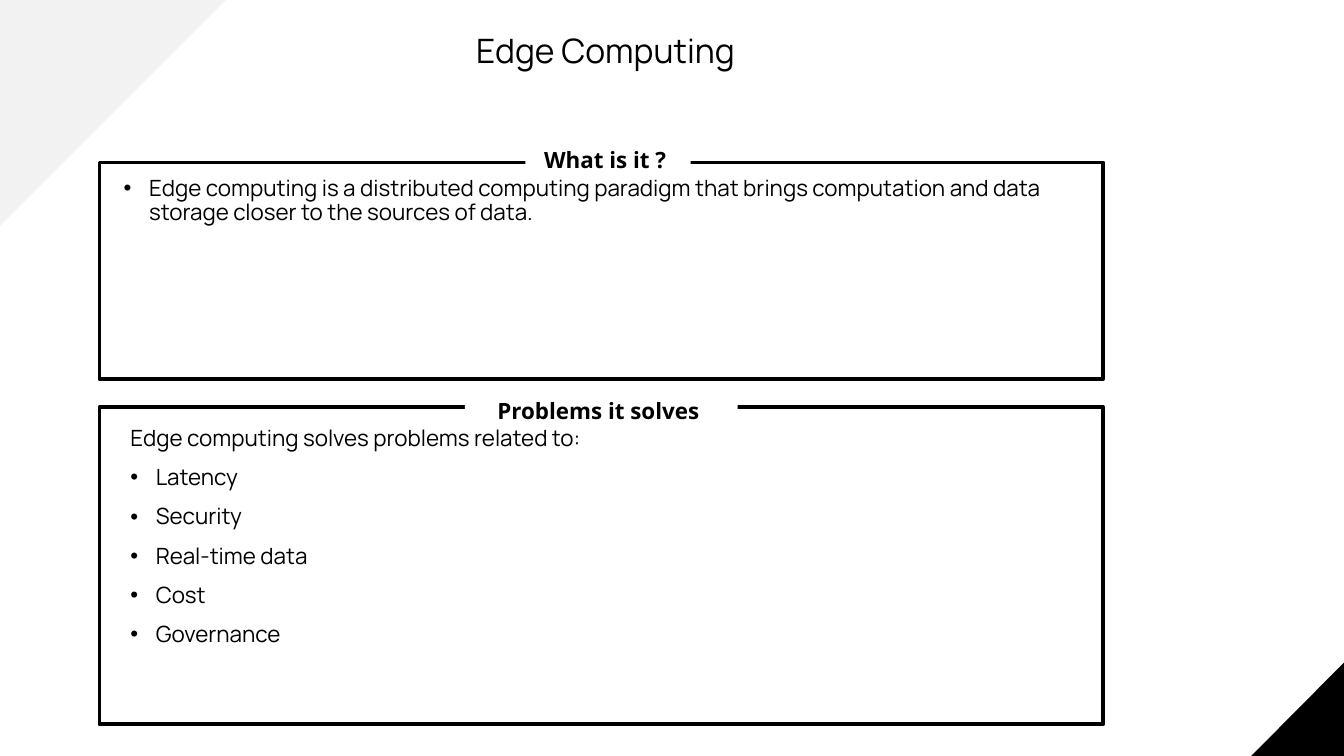
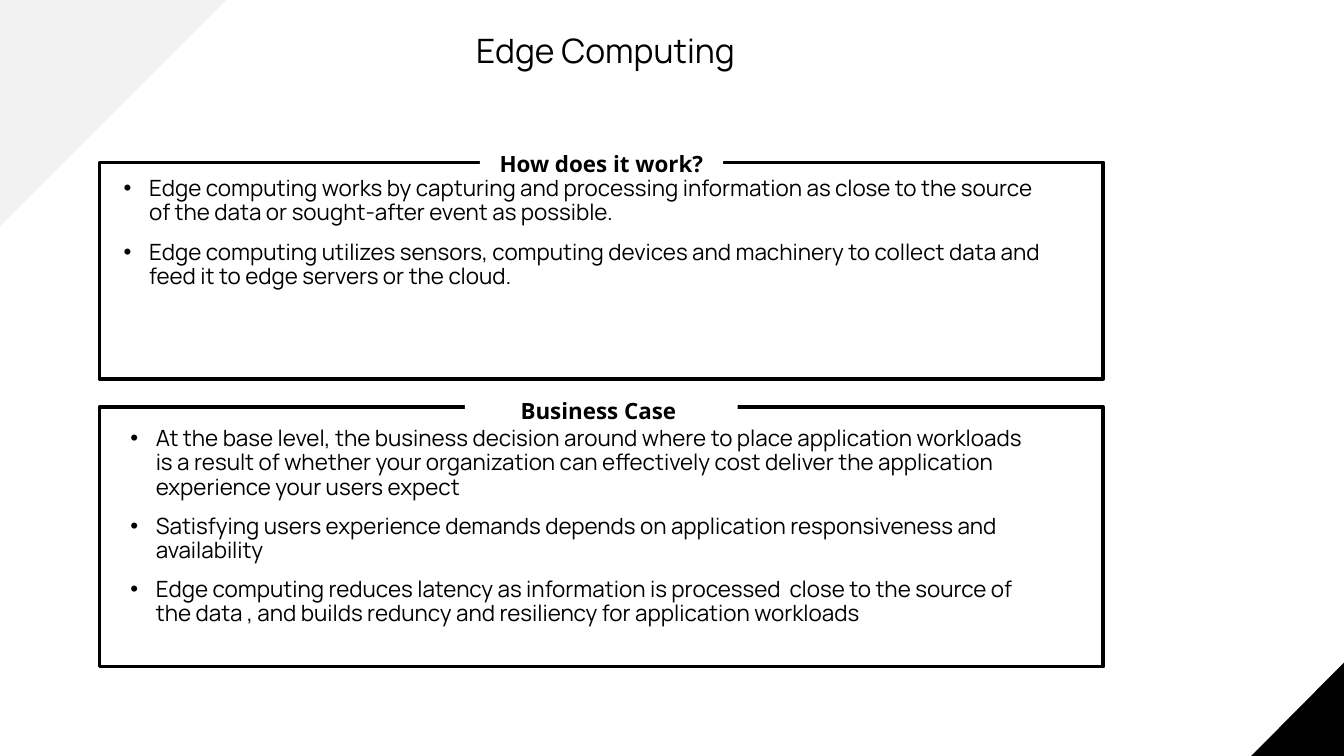
from dataclasses import dataclass

from lxml import etree
from pptx import Presentation
from pptx import util as u
from pptx.dml.color import RGBColor
from pptx.enum import shapes, text
from pptx.oxml.ns import qn

BLACK = RGBColor(0x00, 0x00, 0x00)
WHITE = RGBColor(0xFF, 0xFF, 0xFF)
PALE_GREY = RGBColor(0xF2, 0xF2, 0xF2)
BODY_FONT = "Manrope"
LABEL_FONT = "Open Sans"

SLIDE_WIDTH, SLIDE_HEIGHT = u.Inches(10), u.Inches(5.625)
COLUMNS, ROWS = 100, 56.25  # square grid cells

PANEL_LEFT, PANEL_WIDTH = 7.4, 74.7
SIDE_INSET, TEXT_INSET = u.Inches(0.07), u.Inches(0.04)
TEXT_INDENT, BULLET_HANG = u.Inches(0.38), u.Inches(0.19)


@dataclass(frozen=True)
class Area:
    """A rectangle in grid columns and rows."""
    left: float
    top: float
    width: float
    height: float

    def lengths(self) -> tuple[int, int, int, int]:
        return (across(self.left), down(self.top),
                across(self.width), down(self.height))


@dataclass(frozen=True)
class Panel:
    top: float
    height: float
    label: str
    label_area: Area
    body_area: Area
    bullets: tuple[str, ...]
    lead: str = ""


TITLE = "Edge Computing "
TITLE_AREA = Area(30.3, 2.3, 30, 2.3)
CORNER_TRIANGLE_AREA = Area(94.7, 51.1, 4.7, 4.2)
UPPER_TOP, UPPER_HEIGHT = 12.1, 16.1
LOWER_TOP = 30.3
LOWER_LABEL_AREA = Area(34.6, 29.8, 20.3, 1.5)
LOWER_BODY_AREA = Area(7.1, 31.4, 70.6, 10.3)

SLIDES = (
    (
        Panel(UPPER_TOP, UPPER_HEIGHT, "What is it ? ",
              Area(39.1, 11.1, 12.3, 1.5), Area(6.6, 12.8, 77.3, 12),
              ("Edge computing is a distributed computing paradigm that brings "
               "computation and data storage closer to the sources of data.",)),
        Panel(LOWER_TOP, 23.6, "Problems it solves ",
              LOWER_LABEL_AREA, LOWER_BODY_AREA,
              ("Latency", "Security", "Real-time data", "Cost", "Governance"),
              lead="Edge computing solves problems related to:"),
    ),
    (
        Panel(UPPER_TOP, UPPER_HEIGHT, "How does it work?",
              Area(35.7, 11.2, 18.1, 2), Area(6.6, 12.8, 72.6, 12),
              ("Edge computing works by capturing and processing information as "
               "close to the source of the data or sought-after event as possible.",
               "Edge computing utilizes sensors, computing devices and machinery "
               "to collect data and feed it to edge servers or the cloud.")),
        Panel(LOWER_TOP, 19.3, "Business Case ",
              LOWER_LABEL_AREA, LOWER_BODY_AREA,
              ("At the base level, the business decision around where to place "
               "application workloads is a result of whether your organization can "
               "effectively cost deliver the application experience your users expect",
               "Satisfying users experience demands depends on application "
               "responsiveness and availability",
               "Edge computing reduces latency as information is processed  close "
               "to the source of the data , and builds reduncy and resiliency for "
               "application workloads")),
    ),
)


def across(columns: float) -> int:
    return round(SLIDE_WIDTH * columns / COLUMNS)


def down(rows: float) -> int:
    return round(SLIDE_HEIGHT * rows / ROWS)


def add_corner(slide, color: RGBColor, points: tuple[tuple[float, float], ...]) -> None:
    start, *others = [(across(column), down(row)) for column, row in points]
    builder = slide.shapes.build_freeform(*start)
    builder.add_line_segments(others, close=True)
    shape = builder.convert_to_shape()
    shape.shadow.inherit = False
    shape.fill.solid()
    shape.fill.fore_color.rgb = color
    shape.line.fill.background()


def add_block(slide, kind, area: Area, fill: RGBColor, outlined: bool = True):
    shape = slide.shapes.add_shape(kind, *area.lengths())
    shape.shadow.inherit = False
    shape.fill.solid()
    shape.fill.fore_color.rgb = fill
    if outlined:
        shape.line.color.rgb = BLACK
        shape.line.width = u.Pt(2)
    else:
        shape.line.fill.background()
    return shape


def set_frame(frame, inset: int, anchor) -> None:
    frame.word_wrap = True
    frame.margin_left = frame.margin_right = SIDE_INSET
    frame.margin_top = frame.margin_bottom = inset
    frame.vertical_anchor = anchor


def add_run(paragraph, words: str, size: float, font: str, bold: bool = False) -> None:
    run = paragraph.add_run()
    run.text = words
    run.font.size = u.Pt(size)
    run.font.name = font
    run.font.bold = bold
    run.font.color.rgb = BLACK


def set_indent(paragraph, bulleted: bool) -> None:
    properties = paragraph._p.get_or_add_pPr()
    properties.set("marL", str(TEXT_INDENT if bulleted else BULLET_HANG))
    properties.set("indent", str(-BULLET_HANG if bulleted else 0))
    if bulleted:
        color = etree.SubElement(properties, qn("a:buClr"))
        etree.SubElement(color, qn("a:srgbClr"), val=str(BLACK))
        etree.SubElement(properties, qn("a:buFont"), typeface="Arial")
        etree.SubElement(properties, qn("a:buChar"), char="•")


def add_title(slide) -> None:
    frame = slide.shapes.add_textbox(*TITLE_AREA.lengths()).text_frame
    set_frame(frame, TEXT_INSET, text.MSO_ANCHOR.MIDDLE)
    paragraph = frame.paragraphs[0]
    paragraph.alignment = text.PP_ALIGN.CENTER
    paragraph.line_spacing = 1.2
    paragraph.space_before = u.Pt(8)
    add_run(paragraph, TITLE, 18, BODY_FONT)


def add_body(slide, panel: Panel) -> None:
    frame = slide.shapes.add_textbox(*panel.body_area.lengths()).text_frame
    set_frame(frame, TEXT_INSET, text.MSO_ANCHOR.TOP)
    lines = [(panel.lead, False)] if panel.lead else []
    lines += [(bullet, True) for bullet in panel.bullets]
    for index, (words, bulleted) in enumerate(lines):
        paragraph = frame.add_paragraph() if index else frame.paragraphs[0]
        paragraph.line_spacing = 0.9
        paragraph.space_before = u.Pt(8)
        set_indent(paragraph, bulleted)
        add_run(paragraph, words, 12, BODY_FONT)


def add_panel(slide, panel: Panel) -> None:
    """Draw a framed box whose label interrupts the top edge."""
    rectangle = shapes.MSO_SHAPE.RECTANGLE
    add_block(slide, rectangle,
              Area(PANEL_LEFT, panel.top, PANEL_WIDTH, panel.height), WHITE)
    add_body(slide, panel)
    label = add_block(slide, rectangle, panel.label_area, WHITE, outlined=False)
    set_frame(label.text_frame, SIDE_INSET, text.MSO_ANCHOR.MIDDLE)
    paragraph = label.text_frame.paragraphs[0]
    paragraph.alignment = text.PP_ALIGN.CENTER
    add_run(paragraph, panel.label, 12, LABEL_FONT, bold=True)


def add_slide(presentation, panels: tuple[Panel, ...]) -> None:
    slide = presentation.slides.add_slide(presentation.slide_layouts[6])
    slide.background.fill.solid()
    slide.background.fill.fore_color.rgb = WHITE
    add_corner(slide, BLACK, ((COLUMNS, ROWS), (93.1, ROWS), (COLUMNS, 49.3)))
    add_corner(slide, PALE_GREY, ((0, 16.8), (0, 0), (16.8, 0)))
    add_title(slide)
    for panel in panels:
        add_panel(slide, panel)
    triangle = add_block(slide, shapes.MSO_SHAPE.RIGHT_TRIANGLE,
                         CORNER_TRIANGLE_AREA, BLACK)
    triangle.rotation = 273.4


def main() -> None:
    presentation = Presentation()
    presentation.slide_width, presentation.slide_height = SLIDE_WIDTH, SLIDE_HEIGHT
    for panels in SLIDES:
        add_slide(presentation, panels)
    presentation.save("out.pptx")


if __name__ == "__main__":
    main()
